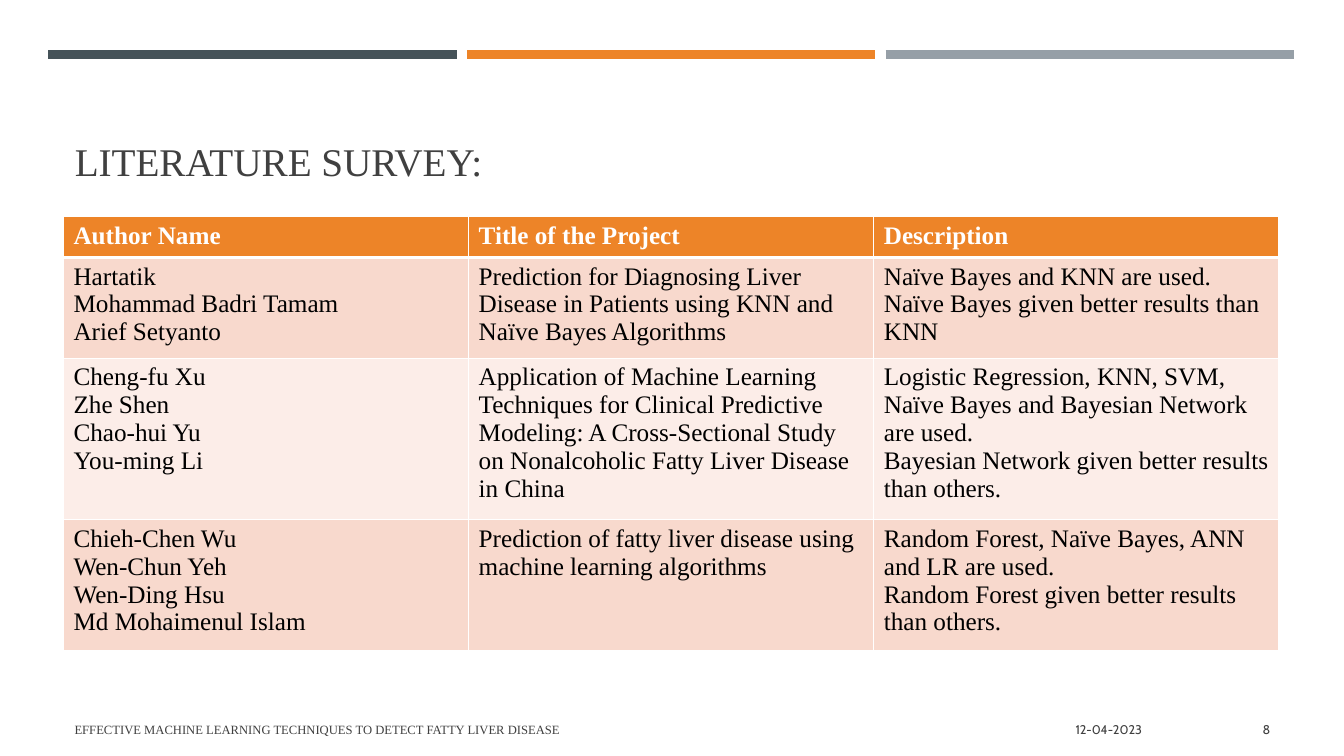
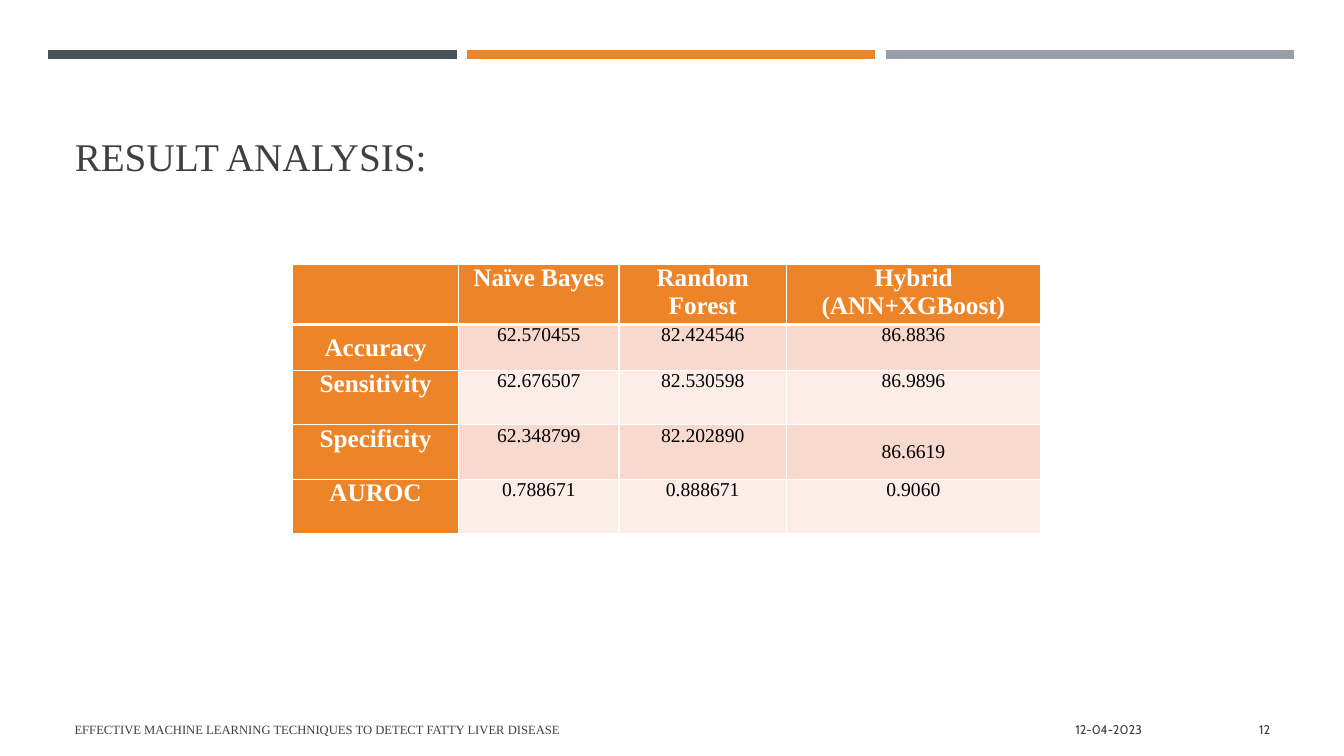
from lxml.etree import SubElement
from pptx import Presentation
from pptx.dml.color import RGBColor
from pptx.enum.shapes import MSO_CONNECTOR
from pptx.enum.text import MSO_ANCHOR, MSO_AUTO_SIZE, PP_ALIGN
from pptx.oxml.ns import qn
from pptx.util import Cm, Pt

ORANGE, SLATE, GREY = "ED8428", "465359", "969FA7"
ROSE, PALE_ROSE = "F8D9CD", "FCEDE8"
WHITE, BLACK, TEXT = "FFFFFF", "000000", "404040"
SERIF, SANS = "Times New Roman", "Cabin"
TITLE_ONLY = 5
FOOTER = "EFFECTIVE MACHINE LEARNING TECHNIQUES TO DETECT FATTY LIVER DISEASE"
DATE = "12-04-2023"

SURVEY = [
    ["Author Name", "Title of the Project", "Description"],
    ["Hartatik\nMohammad Badri Tamam\nArief Setyanto",
     "Prediction for Diagnosing Liver Disease in Patients using KNN and "
     "Naïve Bayes Algorithms",
     "Naïve Bayes and KNN are used.\n"
     "Naïve Bayes given better results than KNN"],
    ["Cheng-fu Xu\nZhe Shen\nChao-hui Yu\nYou-ming Li",
     "Application of Machine Learning Techniques for Clinical Predictive "
     "Modeling: A Cross-Sectional Study on Nonalcoholic Fatty Liver Disease "
     "in China",
     "Logistic Regression, KNN, SVM, Naïve Bayes and Bayesian Network are "
     "used.\nBayesian Network given better results than others."],
    ["Chieh-Chen Wu\nWen-Chun Yeh\nWen-Ding Hsu\nMd Mohaimenul Islam",
     "Prediction of fatty liver disease using machine learning algorithms",
     "Random Forest, Naïve Bayes, ANN and LR are used.\n"
     "Random Forest given better results than others."],
]
RESULTS = [
    ["", "Naïve Bayes", "Random Forest", "Hybrid (ANN+XGBoost)"],
    ["Accuracy", "62.570455", "82.424546", "86.8836"],
    ["Sensitivity", "62.676507", "82.530598", "86.9896"],
    ["Specificity", "62.348799", "82.202890", "86.6619"],
    ["AUROC", "0.788671", "0.888671", "0.9060"],
]


def rgb(value):
    return RGBColor.from_string(value)


def style_text(frame, size, color, font=SERIF, bold=False, align=PP_ALIGN.LEFT):
    for para in frame.paragraphs:
        para.alignment = align
        for span in para.runs:
            span.font.name = font
            span.font.size = Pt(size)
            span.font.bold = bold
            span.font.color.rgb = rgb(color)


def add_bands(deck, page):
    """Draw the three top bands and move them to the master for all slides."""
    left, top, width, step = 1.22, 1.37, 10.29, 10.55
    for index, color in enumerate([SLATE, ORANGE, GREY]):
        start = left + index * step
        band = page.shapes.add_connector(
            MSO_CONNECTOR.STRAIGHT, Cm(start), Cm(top), Cm(start + width), Cm(top))
        band.line.color.rgb = rgb(color)
        band.line.width = Pt(6.5)
        SubElement(band.element.spPr, qn("a:effectLst"))
        deck.slide_master.shapes.element.append(band.element)


def add_title(page, text, top):
    title = page.shapes.title
    title.left, title.top, title.width, title.height = map(Cm, (1.63, top, 30.63, 2.74))
    frame = title.text_frame
    frame.text = text
    frame.auto_size = MSO_AUTO_SIZE.NONE
    frame.vertical_anchor = MSO_ANCHOR.BOTTOM
    style_text(frame, 28, TEXT)


def add_footer(page, number):
    top, height = 17.86, 1.02
    for text, left, width, font, align in [
        (FOOTER, 1.63, 19.2, SERIF, PP_ALIGN.LEFT),
        (DATE, 21.13, 7.9, SANS, PP_ALIGN.RIGHT),
        (str(number), 29.34, 2.92, SANS, PP_ALIGN.RIGHT),
    ]:
        box = page.shapes.add_textbox(Cm(left), Cm(top), Cm(width), Cm(height))
        frame = box.text_frame
        frame.word_wrap = True
        frame.vertical_anchor = MSO_ANCHOR.MIDDLE
        frame.text = text
        style_text(frame, 9, TEXT, font, align=align)


def add_borders(cell, top, bottom):
    properties = cell._tc.get_or_add_tcPr()
    for side, points in [("L", 1), ("R", 1), ("T", top), ("B", bottom)]:
        line = SubElement(properties, qn(f"a:ln{side}"), w=str(Pt(points)))
        fill = SubElement(line, qn("a:solidFill"))
        SubElement(fill, qn("a:srgbClr"), val=WHITE)


def add_table(page, left, top, widths, heights, rows, body_size=18,
              align=PP_ALIGN.LEFT, margins=None, header_column=False):
    frame = page.shapes.add_table(len(rows), len(widths), Cm(left), Cm(top),
                                  Cm(sum(widths)), Cm(sum(heights)))
    table = frame.table
    table.first_col = header_column
    for column, width in zip(table.columns, widths):
        column.width = Cm(width)
    for r, (row, height) in enumerate(zip(rows, heights)):
        table.rows[r].height = Cm(height)
        for c, text in enumerate(row):
            cell = table.cell(r, c)
            is_header = r == 0 or (header_column and c == 0)
            add_borders(cell, top=3 if r == 1 else 1, bottom=3 if r == 0 else 1)
            cell.fill.solid()
            band = ROSE if r % 2 else PALE_ROSE
            cell.fill.fore_color.rgb = rgb(ORANGE if is_header else band)
            if margins:
                cell.margin_left = cell.margin_right = Cm(margins[0])
                cell.margin_top = cell.margin_bottom = Cm(margins[1])
            cell.text_frame.text = text
            style_text(cell.text_frame, 18 if is_header else body_size,
                       WHITE if is_header else BLACK, bold=is_header, align=align)
    return table


def add_page(deck, title, title_top, number):
    page = deck.slides.add_slide(deck.slide_layouts[TITLE_ONLY])
    add_title(page, title, title_top)
    add_footer(page, number)
    return page


def add_survey_page(deck):
    page = add_page(deck, "LITERATURE SURVEY:", 2.03, 8)
    add_table(page, 1.6, 5.46, [10.21] * 3, [1.03, 2.34, 3.78, 3.05], SURVEY)
    return page


def add_results_page(deck):
    page = add_page(deck, "RESULT ANALYSIS:", 1.9, 12)
    table = add_table(page, 7.37, 6.65, [4.19, 4.04, 4.22, 6.4],
                      [1.4, 1.16, 1.37, 1.37, 1.37], RESULTS, body_size=14,
                      align=PP_ALIGN.CENTER, margins=(0.18, 0), header_column=True)
    for row, column in [(1, 0), (3, 3)]:
        table.cell(row, column).vertical_anchor = MSO_ANCHOR.MIDDLE


def main():
    deck = Presentation()
    deck.slide_width, deck.slide_height = Cm(33.87), Cm(19.05)
    survey_page = add_survey_page(deck)
    add_bands(deck, survey_page)
    add_results_page(deck)
    deck.save("out.pptx")


if __name__ == "__main__":
    main()
